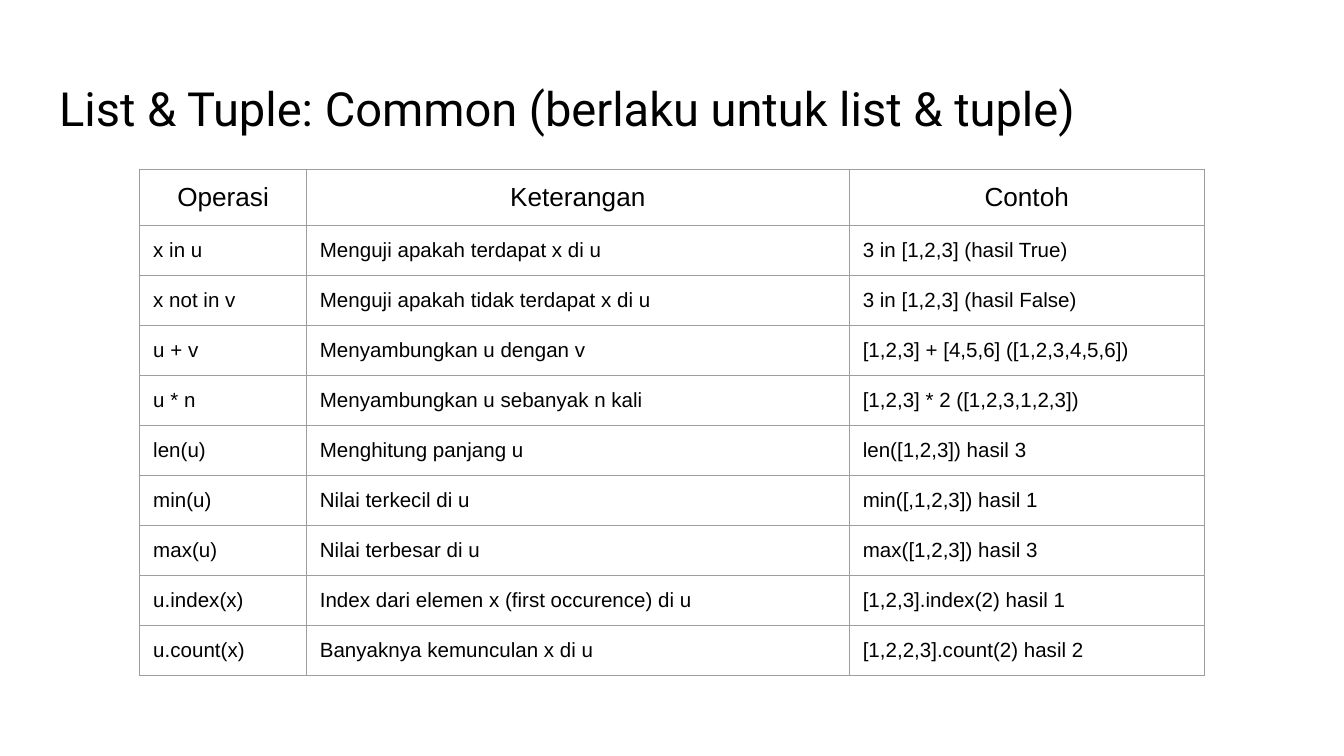
from lxml import etree
from pptx import Presentation
from pptx.dml.color import RGBColor
from pptx.enum.text import MSO_ANCHOR, MSO_AUTO_SIZE, PP_ALIGN
from pptx.oxml.ns import qn
from pptx.util import Inches, Pt

BLACK = RGBColor(0x00, 0x00, 0x00)
GRAY = RGBColor(0x9E, 0x9E, 0x9E)
LEFT = PP_ALIGN.LEFT
CENTER = PP_ALIGN.CENTER
TOP = MSO_ANCHOR.TOP
MIDDLE = MSO_ANCHOR.MIDDLE
NO_FIT = MSO_AUTO_SIZE.NONE
TITLE_ONLY = 5

OPERATIONS = [
    ("Operasi", "Keterangan", "Contoh"),
    ("x in u", "Menguji apakah terdapat x di u", "3 in [1,2,3] (hasil True)"),
    ("x not in v", "Menguji apakah tidak terdapat x di u", "3 in [1,2,3] (hasil False)"),
    ("u + v", "Menyambungkan u dengan v", "[1,2,3] + [4,5,6] ([1,2,3,4,5,6])"),
    ("u * n", "Menyambungkan u sebanyak n kali", "[1,2,3] * 2 ([1,2,3,1,2,3])"),
    ("len(u)", "Menghitung panjang u", "len([1,2,3]) hasil 3"),
    ("min(u)", "Nilai terkecil di u", "min([,1,2,3]) hasil 1"),
    ("max(u)", "Nilai terbesar di u", "max([1,2,3]) hasil 3"),
    ("u.index(x)", "Index dari elemen x (first occurence) di u", "[1,2,3].index(2) hasil 1"),
    ("u.count(x)", "Banyaknya kemunculan x di u", "[1,2,2,3].count(2) hasil 2"),
]


class SlideBuilder:
    title_font = "Roboto"
    table_font = "Arial"
    inset = Inches(0.1)

    def __init__(self, slide):
        self.slide = slide

    def format_text(self, frame, font_name, size, align):
        paragraph = frame.paragraphs[0]
        paragraph.alignment = align
        font = paragraph.runs[0].font
        font.name = font_name
        font.size = Pt(size)
        font.bold = False
        font.color.rgb = BLACK

    def title(self, text, left, top, width, height):
        heading = self.slide.shapes.title
        heading.left, heading.top = Inches(left), Inches(top)
        heading.width, heading.height = Inches(width), Inches(height)
        frame = heading.text_frame
        frame.text = text
        frame.word_wrap = True
        frame.auto_size = NO_FIT
        frame.vertical_anchor = TOP
        frame.margin_left = frame.margin_right = self.inset
        frame.margin_top = frame.margin_bottom = self.inset
        self.format_text(frame, self.title_font, 25.2, LEFT)

    def border(self, cell):
        properties = cell._tc.get_or_add_tcPr()
        for position, side in enumerate(("lnL", "lnR", "lnT", "lnB")):
            line = etree.Element(qn(f"a:{side}"), w=str(Pt(0.75)))
            fill = etree.SubElement(line, qn("a:solidFill"))
            etree.SubElement(fill, qn("a:srgbClr"), val=str(GRAY))
            properties.insert(position, line)

    def cell(self, cell, text, is_header):
        cell.text = text
        cell.fill.background()
        cell.margin_left = cell.margin_right = self.inset
        cell.margin_top = cell.margin_bottom = self.inset if is_header else 0
        cell.vertical_anchor = TOP if is_header else MIDDLE
        size, align = (14, CENTER) if is_header else (11, LEFT)
        self.format_text(cell.text_frame, self.table_font, size, align)
        self.border(cell)

    def table(self, rows, left, top, widths, height, header_height):
        row_height = (height - header_height) / (len(rows) - 1)
        heights = [header_height] + [row_height] * (len(rows) - 1)
        table = self.slide.shapes.add_table(
            len(rows), len(widths), Inches(left), Inches(top),
            Inches(sum(widths)), Inches(height),
        ).table
        table.first_row = table.horz_banding = False
        for column, width in zip(table.columns, widths):
            column.width = Inches(width)
        for index, (row, height, texts) in enumerate(zip(table.rows, heights, rows)):
            row.height = Inches(height)
            for cell, text in zip(row.cells, texts):
                self.cell(cell, text, is_header=index == 0)


def main():
    presentation = Presentation()
    presentation.slide_width = Inches(10)
    presentation.slide_height = Inches(10) * 9 // 16
    layout = presentation.slide_layouts[TITLE_ONLY]
    builder = SlideBuilder(presentation.slides.add_slide(layout))
    builder.title("List & Tuple: Common (berlaku untuk list & tuple)", 0.34, 0.49, 9.32, 0.63)
    builder.table(OPERATIONS, 1.04, 1.26, (1.24, 4.04, 2.64), 3.77, 0.42)
    presentation.save("out.pptx")


if __name__ == "__main__":
    main()
